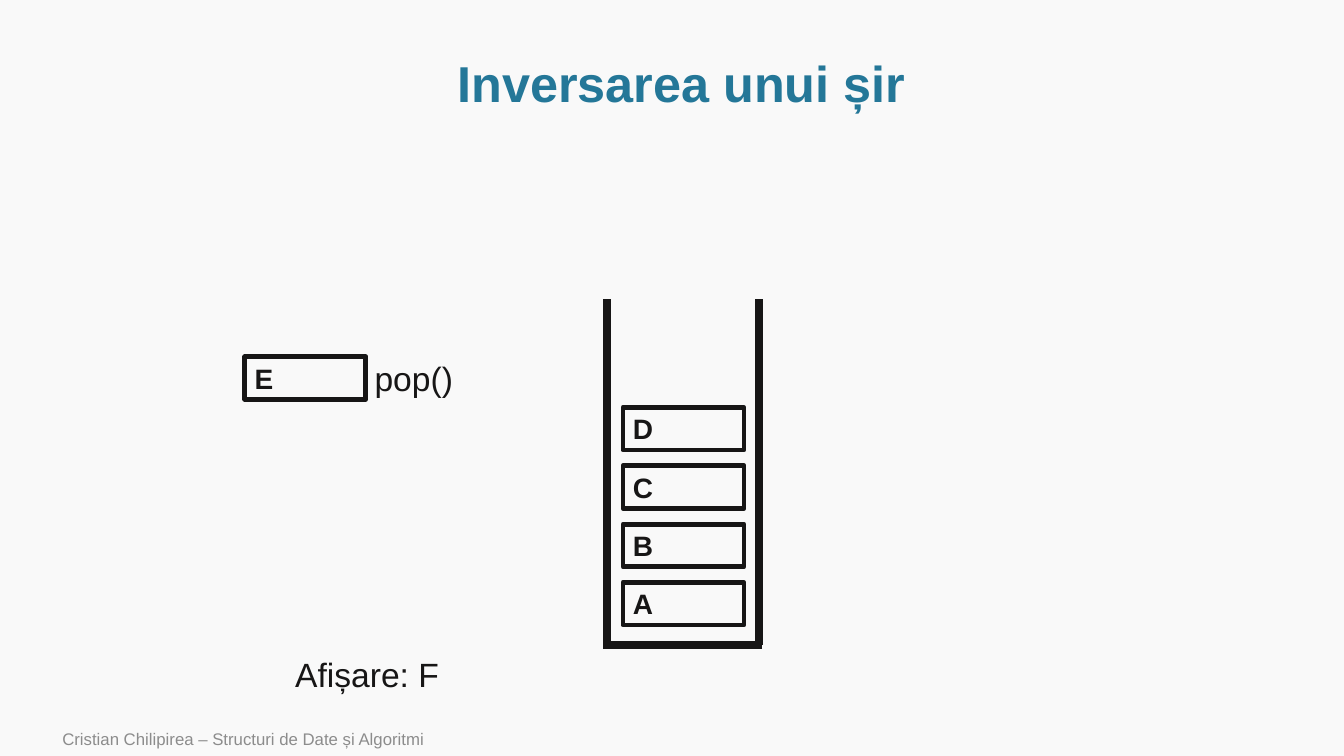
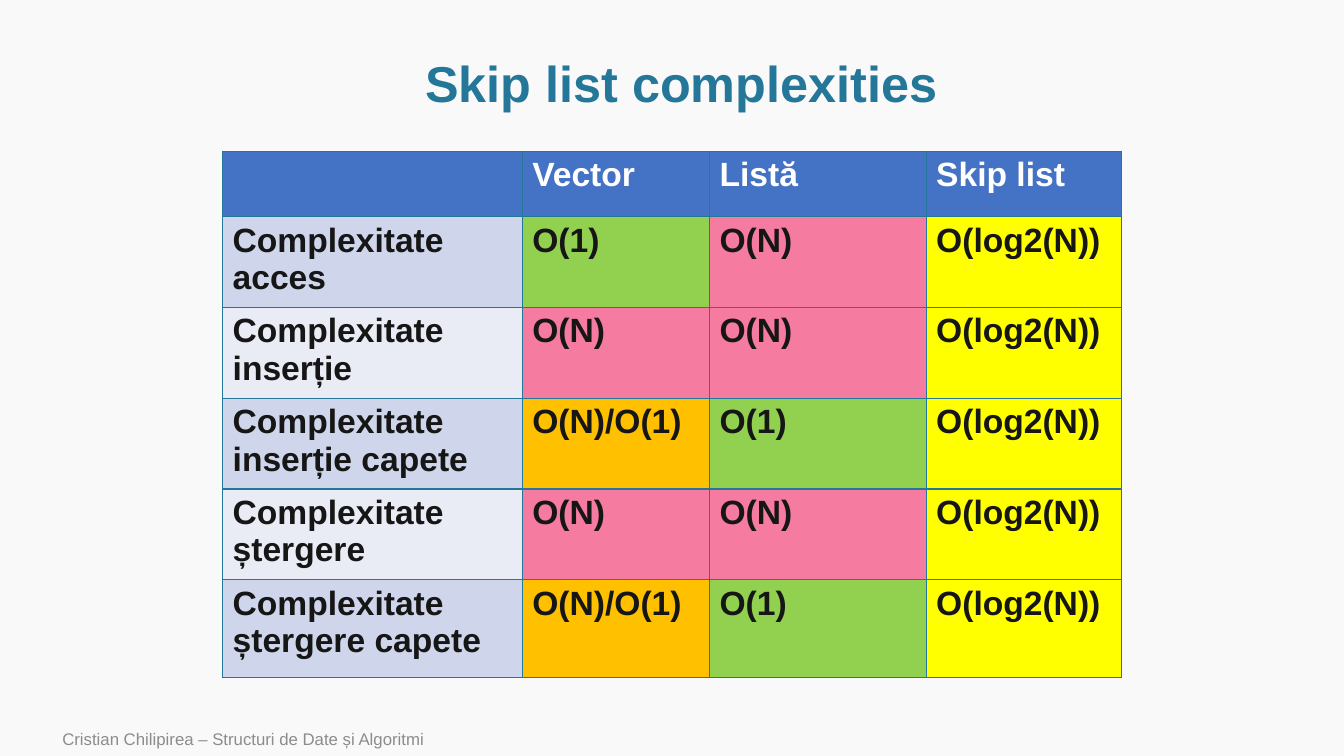
"""Build two slides on data structures: reversing a string with a stack, and skip list costs."""
import lxml.etree
import pptx
import pptx.dml.color
import pptx.enum.shapes
import pptx.enum.text
import pptx.oxml.ns
import pptx.util

Cm = pptx.util.Cm
Pt = pptx.util.Pt
RGBColor = pptx.dml.color.RGBColor
Align = pptx.enum.text.PP_ALIGN
Anchor = pptx.enum.text.MSO_ANCHOR
qn = pptx.oxml.ns.qn

PAPER = RGBColor(0xF9, 0xF9, 0xF9)
INK = RGBColor(0x17, 0x16, 0x16)
TEAL = RGBColor(0x24, 0x77, 0x98)
GREY = RGBColor(0x8C, 0x8C, 0x8C)
WHITE = RGBColor(0xFF, 0xFF, 0xFF)
HEADER = RGBColor(0x44, 0x72, 0xC4)
BANDS = (RGBColor(0xCF, 0xD5, 0xEA), RGBColor(0xE9, 0xEB, 0xF5))
COST_COLOURS = {
    "O(1)": RGBColor(0x92, 0xD0, 0x50),
    "O(N)": RGBColor(0xF5, 0x7B, 0xA1),
    "O(N)/O(1)": RGBColor(0xFF, 0xC0, 0x00),
    "O(log2(N))": RGBColor(0xFF, 0xFF, 0x00),
}
FONT = "Arial"
FOOTER = "Cristian Chilipirea – Structuri de Date și Algoritmi"
COSTS = [
    ("", "Vector", "Listă", "Skip list"),
    ("Complexitate acces", "O(1)", "O(N)", "O(log2(N))"),
    ("Complexitate inserție", "O(N)", "O(N)", "O(log2(N))"),
    ("Complexitate inserție capete", "O(N)/O(1)", "O(1)", "O(log2(N))"),
    ("Complexitate ștergere", "O(N)", "O(N)", "O(log2(N))"),
    ("Complexitate ștergere capete", "O(N)/O(1)", "O(1)", "O(log2(N))"),
]


class Deck:
    """Holds the shared style and the current slide."""

    def __init__(self):
        self.show = pptx.Presentation()
        self.show.slide_width, self.show.slide_height = Cm(33.87), Cm(19.05)
        background = self.show.slide_master.background.fill
        background.solid()
        background.fore_color.rgb = PAPER
        self.slide = None

    def set_text(self, frame, text, size, colour=INK, bold=False):
        frame.text = text
        paragraph = frame.paragraphs[0]
        font = paragraph.font
        font.name, font.size, font.bold = FONT, Pt(size), bold
        font.color.rgb = colour
        return paragraph

    def add_slide(self, heading):
        self.slide = self.show.slides.add_slide(self.show.slide_layouts[5])
        title = self.slide.shapes.title
        title.left, title.top, title.width, title.height = Cm(2.57), Cm(1.3), Cm(29.21), Cm(1.75)
        title.text_frame.vertical_anchor = Anchor.MIDDLE
        paragraph = self.set_text(title.text_frame, heading, 36, TEAL, True)
        paragraph.alignment = Align.CENTER
        paragraph.line_spacing = 0.9
        self.label(FOOTER, 1.32, 18.19, 21.34, 0.86, 12, GREY, Anchor.MIDDLE)

    def label(self, text, left, top, width, height, size=24, colour=INK, anchor=Anchor.TOP):
        frame = self.slide.shapes.add_textbox(Cm(left), Cm(top), Cm(width), Cm(height)).text_frame
        frame.word_wrap = True
        frame.vertical_anchor = anchor
        self.set_text(frame, text, size, colour)

    def wall(self, x1, y1, x2, y2):
        wall = self.slide.shapes.add_connector(
            pptx.enum.shapes.MSO_CONNECTOR.STRAIGHT, Cm(x1), Cm(y1), Cm(x2), Cm(y2))
        wall.line.color.rgb = INK
        wall.line.width = Pt(5.5)
        lxml.etree.SubElement(wall._element.spPr, qn("a:effectLst"))

    def item(self, letter, left, top):
        item = self.slide.shapes.add_shape(
            pptx.enum.shapes.MSO_SHAPE.RECTANGLE, Cm(left), Cm(top), Cm(3.05), Cm(1.07))
        item.shadow.inherit = False
        item.fill.background()
        item.line.color.rgb = INK
        item.line.width = Pt(3.5)
        item.text_frame.vertical_anchor = Anchor.MIDDLE
        self.set_text(item.text_frame, letter, 20, INK, True).alignment = Align.LEFT

    def border(self, cell):
        properties = cell._tc.get_or_add_tcPr()
        for side in ("a:lnL", "a:lnR", "a:lnT", "a:lnB"):
            line = lxml.etree.SubElement(properties, qn(side), w=str(Pt(1)))
            fill = lxml.etree.SubElement(line, qn("a:solidFill"))
            lxml.etree.SubElement(fill, qn("a:srgbClr"), val=str(TEAL))

    def table(self, rows, left, top, widths, heights):
        table = self.slide.shapes.add_table(
            len(rows), len(widths), Cm(left), Cm(top), Cm(sum(widths)), Cm(sum(heights))).table
        for column, width in zip(table.columns, widths):
            column.width = Cm(width)
        for row, height in zip(table.rows, heights):
            row.height = Cm(height)
        for r, texts in enumerate(rows):
            for c, text in enumerate(texts):
                cell = table.cell(r, c)
                self.border(cell)
                cell.fill.solid()
                band = BANDS[(r - 1) % 2] if r else HEADER
                cell.fill.fore_color.rgb = COST_COLOURS.get(text, band)
                self.set_text(cell.text_frame, text, 24, INK if r else WHITE, True)


def main():
    deck = Deck()

    deck.add_slide("Inversarea unui șir")
    rim, floor, left_wall, right_wall = 7.54, 16.26, 15.29, 19.13
    deck.wall(left_wall, rim, left_wall, floor)
    deck.wall(right_wall + 0.08, floor, left_wall - 0.1, floor)
    deck.wall(right_wall, rim, right_wall, floor)
    for level, letter in enumerate("ABCD"):
        deck.item(letter, 15.7, 14.68 - 1.47 * level)
    deck.label("pop()", 9.19, 8.89, 2.51, 1.27)
    deck.item("E", 6.17, 8.99)
    deck.label("Afișare: F", 7.19, 16.36, 4.3, 1.27)

    deck.add_slide("Skip list complexities")
    deck.table(COSTS, 5.61, 3.81, (7.55, 4.72, 5.46, 4.93), (1.65, *[2.14] * 4, 2.47))

    deck.show.save("out.pptx")


if __name__ == "__main__":
    main()
